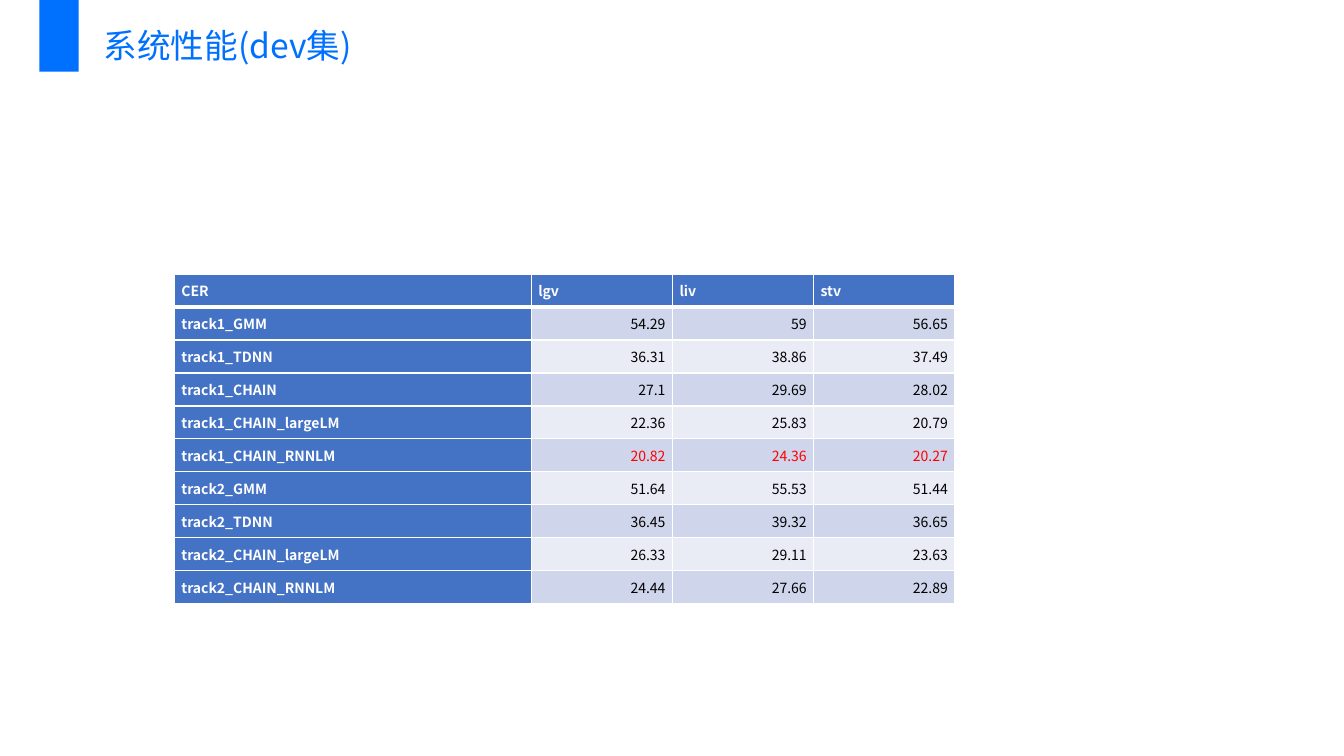
from lxml.etree import SubElement
from pptx import Presentation
from pptx.dml.color import RGBColor
from pptx.enum.shapes import MSO_SHAPE
from pptx.enum.text import MSO_ANCHOR, PP_ALIGN
from pptx.oxml.ns import qn
from pptx.util import Inches, Pt

FONT = "Noto Sans CJK SC"
ACCENT = RGBColor(0x00, 0x70, 0xFF)
HEADER = RGBColor(0x44, 0x72, 0xC4)
BANDS = (RGBColor(0xCF, 0xD5, 0xEA), RGBColor(0xE9, 0xEB, 0xF5))
WHITE = RGBColor(0xFF, 0xFF, 0xFF)
BLACK = RGBColor(0x00, 0x00, 0x00)
RED = RGBColor(0xFF, 0x00, 0x00)

HEADINGS = ("CER", "lgv", "liv", "stv")
RESULTS = (
    ("track1_GMM", "54.29", "59", "56.65"),
    ("track1_TDNN", "36.31", "38.86", "37.49"),
    ("track1_CHAIN", "27.1", "29.69", "28.02"),
    ("track1_CHAIN_largeLM", "22.36", "25.83", "20.79"),
    ("track1_CHAIN_RNNLM", "20.82", "24.36", "20.27"),
    ("track2_GMM", "51.64", "55.53", "51.44"),
    ("track2_TDNN", "36.45", "39.32", "36.65"),
    ("track2_CHAIN_largeLM", "26.33", "29.11", "23.63"),
    ("track2_CHAIN_RNNLM", "24.44", "27.66", "22.89"),
)
HIGHLIGHTED = "track1_CHAIN_RNNLM"


def write_text(frame, text, size=10, color=BLACK, bold=False, align=PP_ALIGN.LEFT):
    paragraph = frame.paragraphs[0]
    paragraph.alignment = align
    run = paragraph.add_run()
    run.text = text
    run.font.size = Pt(size)
    run.font.bold = bold
    run.font.color.rgb = color
    run.font.name = FONT
    SubElement(run.font._element, qn("a:ea"), typeface=FONT)


def add_border(cell, side, points):
    properties = cell._tc.get_or_add_tcPr()
    line = SubElement(properties, qn(f"a:ln{side}"), w=str(Pt(points)))
    fill = SubElement(line, qn("a:solidFill"))
    SubElement(fill, qn("a:srgbClr"), val=str(WHITE))


presentation = Presentation()
presentation.slide_width = Inches(13.33)
presentation.slide_height = Inches(7.5)
slide = presentation.slides.add_slide(presentation.slide_layouts[6])

# Title
title = slide.shapes.add_textbox(Inches(0.93), Inches(0.2), Inches(7.55), Inches(0.5))
title.text_frame.word_wrap = True
write_text(title.text_frame, "系统性能(dev集)", size=24, color=ACCENT)

# Accent bar
bar = slide.shapes.add_shape(
    MSO_SHAPE.RECTANGLE, Inches(0.39), 0, Inches(0.39), Inches(0.71))
bar.shadow.inherit = False
bar.fill.solid()
bar.fill.fore_color.rgb = ACCENT
bar.line.fill.background()

# Error rate table
rows = (HEADINGS,) + RESULTS
table = slide.shapes.add_table(
    len(rows), len(HEADINGS),
    Inches(1.73), Inches(2.72), Inches(7.74), Inches(3.27)).table
for column, width in zip(table.columns, (3.54, 1.4, 1.4, 1.4)):
    column.width = Inches(width)

for row_index, values in enumerate(rows):
    for column_index, value in enumerate(values):
        cell = table.cell(row_index, column_index)
        cell.vertical_anchor = MSO_ANCHOR.MIDDLE
        cell.margin_left = cell.margin_right = Inches(0.07)
        cell.margin_top = cell.margin_bottom = 0

        # A thick line separates the headings from the results
        add_border(cell, "L", 1)
        add_border(cell, "R", 1)
        add_border(cell, "T", 3 if row_index == 1 else 1)
        add_border(cell, "B", 3 if row_index == 0 else 1)

        cell.fill.solid()
        if row_index == 0 or column_index == 0:
            cell.fill.fore_color.rgb = HEADER
            write_text(cell.text_frame, value, color=WHITE, bold=True)
        else:
            cell.fill.fore_color.rgb = BANDS[(row_index - 1) % 2]
            color = RED if values[0] == HIGHLIGHTED else BLACK
            write_text(cell.text_frame, value, color=color, align=PP_ALIGN.RIGHT)

presentation.save("out.pptx")
